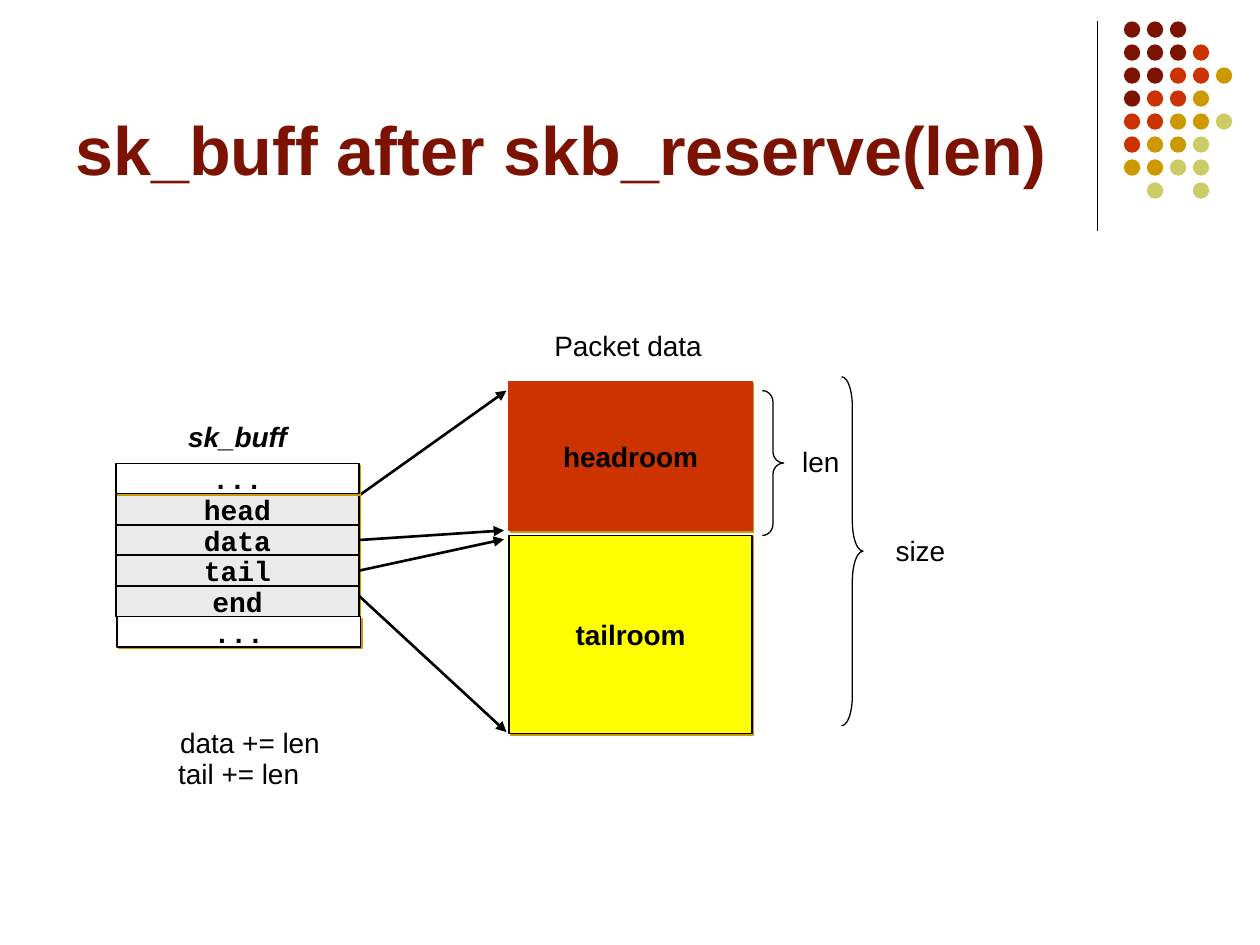
from lxml import etree
from pptx import Presentation
from pptx.dml.color import RGBColor as Rgb
from pptx.enum.shapes import MSO_CONNECTOR as Link, MSO_SHAPE as Kind
from pptx.enum.text import MSO_ANCHOR as Anchor, PP_ALIGN as Align
from pptx.oxml.ns import qn
from pptx.util import Inches, Pt

BLACK, WHITE, GREY = "000000", "FFFFFF", "EAEAEA"
MAROON, RED, GOLD, LIME = "7C1302", "CC3300", "CC9900", "CCCC66"
YELLOW = "FFFF00"
TONES = {"m": MAROON, "r": RED, "g": GOLD, "l": LIME}
DOTS = ["mmm", "mmmr", "mmrrg", "mrrg", "rrggl", "rggl", "ggll", " l l"]
WIDE, TALL, STEP = 1.93, 0.24, 0.243


def color(code):
    return Rgb.from_string(code)


def box(left, top, width, height):
    return [Inches(v) for v in (left, top, width, height)]


def write(shape, text, size=16, font="Arial", bold=False, italic=False,
          tone=BLACK, align=Align.CENTER, anchor=Anchor.MIDDLE,
          pads=(0.06, 0.02), wrap=False):
    frame = shape.text_frame
    frame.word_wrap = wrap
    frame.vertical_anchor = anchor
    frame.margin_left = frame.margin_right = Inches(pads[0])
    frame.margin_top = frame.margin_bottom = Inches(pads[1])
    para = frame.paragraphs[0]
    para.alignment = align
    run = para.add_run()
    run.text = text
    run.font.size, run.font.name = Pt(size), font
    run.font.bold, run.font.italic = bold, italic
    run.font.color.rgb = color(tone)


def label(slide, text, left, top, width=WIDE, height=TALL, **style):
    write(slide.shapes.add_textbox(*box(left, top, width, height)), text, **style)


def shade(shape):
    shape.shadow.inherit = False
    effects = shape._element.spPr.find(qn("a:effectLst"))
    outer = etree.SubElement(effects, qn("a:outerShdw"), dist=str(Pt(1.4)),
                             dir="2700000", algn="ctr", rotWithShape="0")
    etree.SubElement(outer, qn("a:srgbClr"), val=GOLD)


def block(slide, text, left, top, height, fill, edge=BLACK, font="Arial"):
    rect = slide.shapes.add_shape(Kind.RECTANGLE, *box(left, top, WIDE, height))
    rect.fill.solid()
    rect.fill.fore_color.rgb = color(fill)
    rect.line.color.rgb = color(edge)
    rect.line.width = Pt(0.75)
    shade(rect)
    write(rect, text, font=font, bold=True)
    return rect


def field(slide, text, row, fill=GREY, left=0.92):
    return block(slide, text, left, 3.68 + row * STEP, TALL, fill, font="Courier New")


def line(slide, start, end, width=1.5, arrow=True, source=None):
    ends = [Inches(v) for v in start + end]
    link = slide.shapes.add_connector(Link.STRAIGHT, *ends)
    if source is not None:
        link.begin_connect(source, 3)
    link.line.color.rgb = color(BLACK)
    link.line.width = Pt(width)
    if arrow:
        etree.SubElement(link.line._get_or_add_ln(), qn("a:tailEnd"), type="triangle")
    etree.SubElement(link._element.spPr, qn("a:effectLst"))


def brace(slide, left, top, height, curve):
    mark = slide.shapes.add_shape(Kind.RIGHT_BRACE, *box(left, top, 0.17, height))
    mark.adjustments[0] = curve
    mark.fill.background()
    mark.line.color.rgb = color(BLACK)
    mark.line.width = Pt(0.75)
    mark.shadow.inherit = False


def dots(slide):
    group = slide.shapes.add_group_shape()
    gap = 0.73 / 4
    for row, marks in enumerate(DOTS):
        for col, mark in enumerate(marks):
            if mark == " ":
                continue
            place = box(8.92 + col * gap, 0.17 + row * gap, 0.13, 0.13)
            dot = group.shapes.add_shape(Kind.OVAL, *place)
            dot.fill.solid()
            dot.fill.fore_color.rgb = color(TONES[mark])
            dot.line.fill.background()
            dot.shadow.inherit = False


def main():
    deck = Presentation()
    deck.slide_width, deck.slide_height = Inches(10), Inches(7.5)
    slide = deck.slides.add_slide(deck.slide_layouts[6])

    line(slide, (8.71, 0.17), (8.71, 1.83), 0.75, arrow=False)
    dots(slide)
    label(slide, "sk_buff after skb_reserve(len)", 0.5, 0.13, 8.25, 1.42,
          size=39, bold=True, tone=MAROON, align=Align.LEFT,
          anchor=Anchor.BOTTOM, pads=(0.1, 0.05), wrap=True)

    names = ["head", "data", "tail", "end"]
    rows = {name: field(slide, name, i) for i, name in enumerate(names, 1)}
    label(slide, "sk_buff", 0.92, 3.34, bold=True, italic=True)

    block(slide, "headroom", 4.04, 3.03, 1.18, RED, RED)
    line(slide, (2.84, 3.94), (4.02, 3.1))
    line(slide, (2.85, 4.29), (4, 4.21), source=rows["data"])
    line(slide, (2.85, 4.73), (4.02, 5.81))
    line(slide, (2.86, 4.53), (4, 4.28), source=rows["tail"])
    field(slide, "...", 0, WHITE)
    field(slide, "...", 5, WHITE, 0.93)
    block(slide, "tailroom", 4.04, 4.25, 1.57, YELLOW)

    brace(slide, 6.05, 3.1, 1.15, 0.53)
    brace(slide, 6.68, 2.99, 2.77, 1.39)
    label(slide, "Packet data", 4.02, 2.62)
    label(slide, "len", 6.18, 3.54, 0.67)
    label(slide, "size", 6.97, 4.25, 0.67)
    label(slide, "data += len", 1.02, 5.77)
    label(slide, "tail += len", 0.93, 6.02)

    deck.save("out.pptx")


if __name__ == "__main__":
    main()
